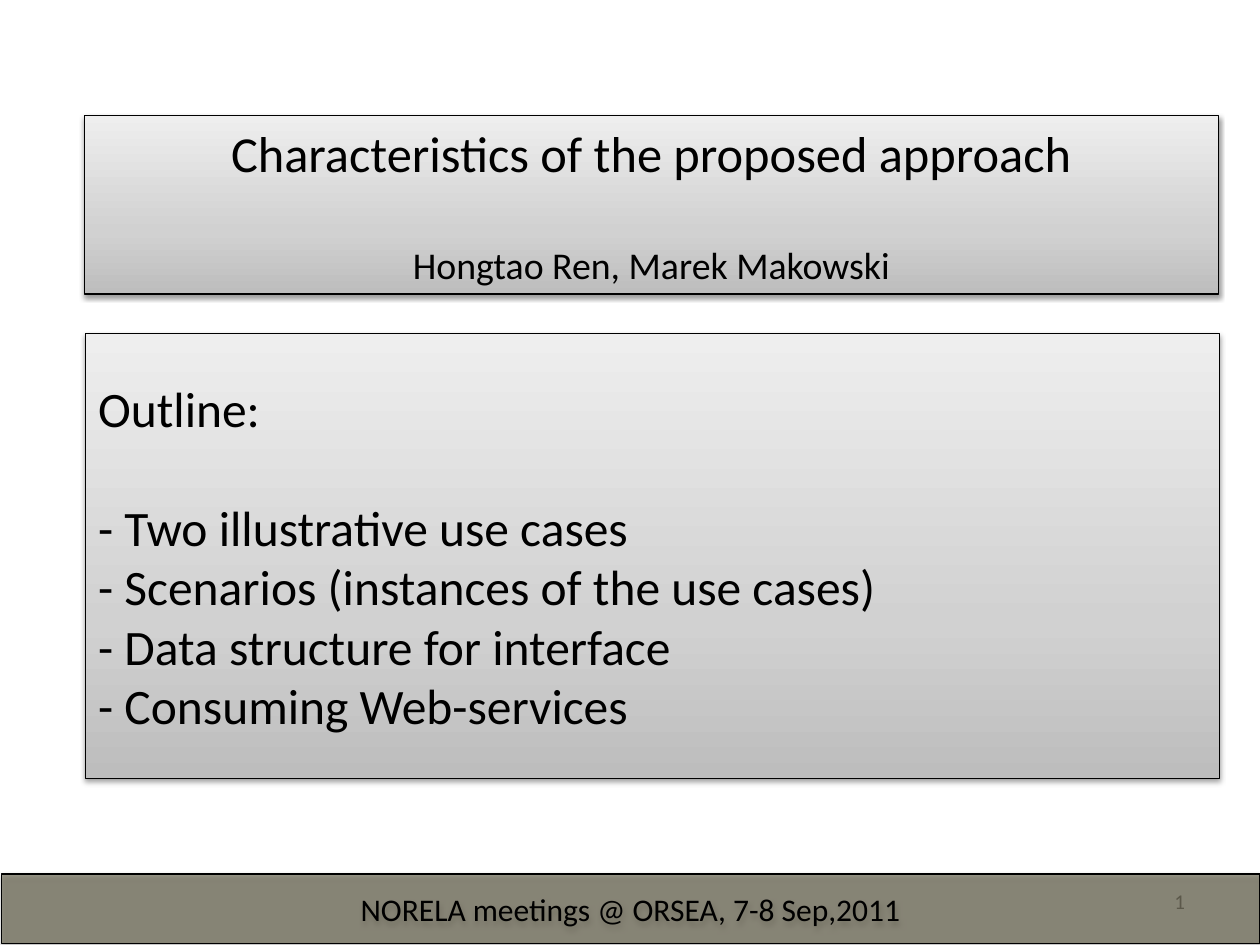
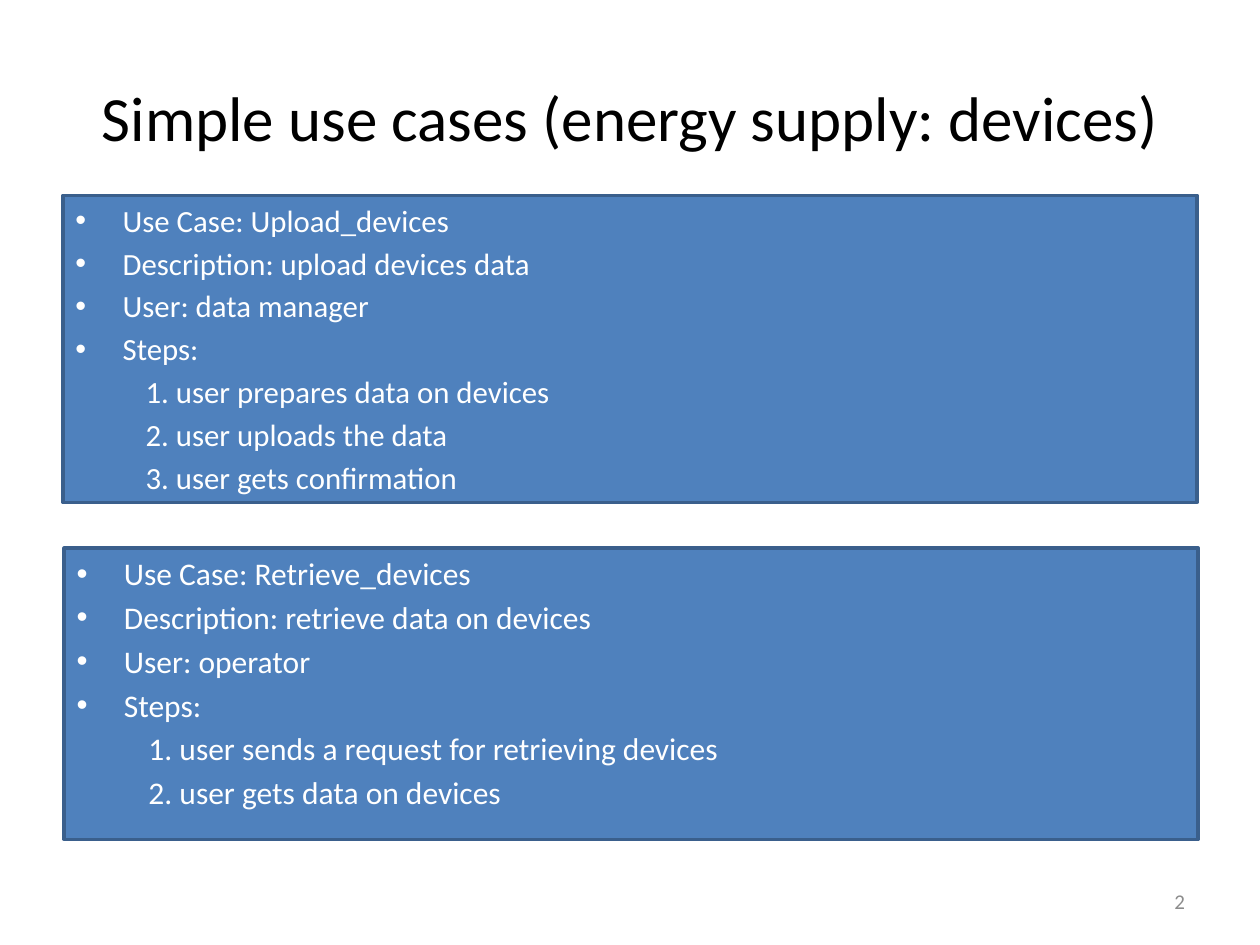
from pptx import Presentation
from pptx.dml.color import RGBColor
from pptx.enum.shapes import MSO_SHAPE as Shape
from pptx.enum.text import MSO_ANCHOR as Anchor, PP_ALIGN as Align
from pptx.oxml import parse_xml
from pptx.oxml.ns import nsdecls, qn
from pptx.util import Pt

FONT = "Calibri"
BLACK = RGBColor(0x00, 0x00, 0x00)
WHITE = RGBColor(0xFF, 0xFF, 0xFF)
NUMBER_GRAY = RGBColor(0x8C, 0x8C, 0x8C)
BLUE = RGBColor(0x4F, 0x81, 0xBD)
BLUE_EDGE = RGBColor(0x3A, 0x5F, 0x8C)
OLIVE = RGBColor(0x4A, 0x45, 0x2A)
PANEL_STOPS = [(0, RGBColor(0xBD, 0xBD, 0xBD)),
               (35, RGBColor(0xD1, 0xD1, 0xD1)),
               (100, RGBColor(0xEE, 0xEE, 0xEE))]

# Boxes are left, top, width, height in points.
NUMBER_BOX = (516.25, 500.5, 168, 28.75)
FOOTER_BOX = (0.75, 499.5, 719.25, 39.75)


def add_text(frame, lines, size, color, align=Align.LEFT, anchor=Anchor.MIDDLE):
    """Fill a text frame with one paragraph per line and return the paragraphs."""
    frame.word_wrap = True
    frame.vertical_anchor = anchor
    frame.text = "\n".join(lines)
    for para in frame.paragraphs:
        para.alignment = align
        for span in para.runs:
            span.font.name = FONT
            span.font.size = Pt(size)
            span.font.color.rgb = color
    return frame.paragraphs


def add_label(page, box, text, size, color, align):
    """Place a plain one-line text box."""
    label = page.shapes.add_textbox(*map(Pt, box))
    add_text(label.text_frame, [text], size, color, align)


def add_box(page, box, edge, edge_width):
    """Place an outlined rectangle without a shadow."""
    shape = page.shapes.add_shape(Shape.RECTANGLE, *map(Pt, box))
    shape.shadow.inherit = False
    shape.line.color.rgb = edge
    shape.line.width = Pt(edge_width)
    return shape


def add_shadow(shape):
    """Give a shape a soft shadow that falls straight down."""
    effects = shape.element.spPr.find(qn("a:effectLst"))
    effects.append(parse_xml(
        f'<a:outerShdw {nsdecls("a")} blurRad="{Pt(3.1)}" dist="{Pt(1.6)}" '
        'dir="5400000" rotWithShape="0"><a:srgbClr val="000000">'
        '<a:alpha val="38000"/></a:srgbClr></a:outerShdw>'))


def add_panel(page, box):
    """Place a gray gradient panel, dark at the bottom, with a shadow."""
    panel = add_box(page, box, BLACK, 0.75)
    panel.fill.gradient()
    panel.fill.gradient_angle = 90
    stops = "".join(f'<a:gs pos="{place * 1000}"><a:srgbClr val="{color}"/></a:gs>'
                    for place, color in PANEL_STOPS)
    gradient = panel.element.spPr.find(qn("a:gradFill"))
    gradient.replace(gradient.find(qn("a:gsLst")),
                     parse_xml(f'<a:gsLst {nsdecls("a")}>{stops}</a:gsLst>'))
    add_shadow(panel)
    return panel


def add_title_panel(page, box, title, authors):
    """Place the talk title with its authors below."""
    panel = add_panel(page, box)
    paras = add_text(panel.text_frame, [title, authors], 28.8, BLACK, Align.CENTER)
    paras[1].space_before = Pt(34)
    paras[1].runs[0].font.size = Pt(21.6)


def add_outline_panel(page, box, heading, topics):
    """Place the outline heading and its dashed topics."""
    panel = add_panel(page, box)
    lines = [heading] + [f"- {topic}" for topic in topics]
    paras = add_text(panel.text_frame, lines, 28.3, BLACK)
    paras[0].space_after = Pt(34)


def add_footer_band(page, box, text):
    """Place the half-transparent band at the foot of the page."""
    band = add_box(page, box, BLACK, 0.75)
    band.fill.solid()
    band.fill.fore_color.rgb = OLIVE
    color = band.element.spPr.find(qn("a:solidFill")).find(qn("a:srgbClr"))
    color.append(parse_xml(f'<a:alpha {nsdecls("a")} val="53000"/>'))
    add_shadow(band)
    add_text(band.text_frame, [text], 18, BLACK, Align.CENTER)


def add_use_case(page, box, size, facts, steps):
    """Place a blue box with bulleted facts and numbered steps."""
    case = add_box(page, box, BLUE_EDGE, 2)
    case.fill.solid()
    case.fill.fore_color.rgb = BLUE
    lines = facts + [f"{number}. {step}" for number, step in enumerate(steps, 1)]
    paras = add_text(case.text_frame, lines, size, WHITE, anchor=Anchor.TOP)
    for index, para in enumerate(paras):
        para.space_before = Pt(size * 0.19)
        props = para._p.get_or_add_pPr()
        if index < len(facts):
            props.set("marL", str(Pt(27)))
            props.set("indent", str(Pt(-27)))
            props.append(parse_xml(f'<a:buFont {nsdecls("a")} typeface="Arial"/>'))
            props.append(parse_xml(f'<a:buChar {nsdecls("a")} char="•"/>'))
        else:
            props.set("marL", str(Pt(size * 2.28)))


def add_page(deck, number):
    """Add a blank page with its page number."""
    page = deck.slides.add_slide(deck.slide_layouts[6])
    add_label(page, NUMBER_BOX, str(number), 12, NUMBER_GRAY, Align.RIGHT)
    return page


def build_opening(deck):
    """Build the opening page with title, outline and footer."""
    page = add_page(deck, 1)
    add_title_panel(page, (48.25, 66, 648, 102),
                    "Characteristics of the proposed approach",
                    "Hongtao Ren, Marek Makowski")
    add_outline_panel(page, (49, 190.75, 648, 254), "Outline:",
                      ["Two illustrative use cases",
                       "Scenarios (instances of the use cases)",
                       "Data structure for interface",
                       "Consuming Web-services"])
    add_footer_band(page, FOOTER_BOX, "NORELA meetings @ ORSEA, 7-8 Sep,2011")


def build_use_cases(deck):
    """Build the page with two use cases."""
    page = add_page(deck, 2)
    add_label(page, (36, 21.6, 648, 90),
              "Simple use cases (energy supply: devices)", 36, BLACK, Align.CENTER)
    add_use_case(page, (36, 111.6, 648, 175.5), 17.6,
                 ["Use Case: Upload_devices", "Description: upload devices data",
                  "User: data manager", "Steps:"],
                 ["user prepares data on devices", "user uploads the data",
                  "user gets confirmation"])
    add_use_case(page, (36.75, 313.2, 648, 166.5), 18,
                 ["Use Case: Retrieve_devices", "Description: retrieve data on devices",
                  "User: operator", "Steps:"],
                 ["user sends a request for retrieving devices",
                  "user gets data on devices"])


deck = Presentation()
deck.slide_width, deck.slide_height = Pt(720), Pt(540)
build_opening(deck)
build_use_cases(deck)
deck.save("out.pptx")
